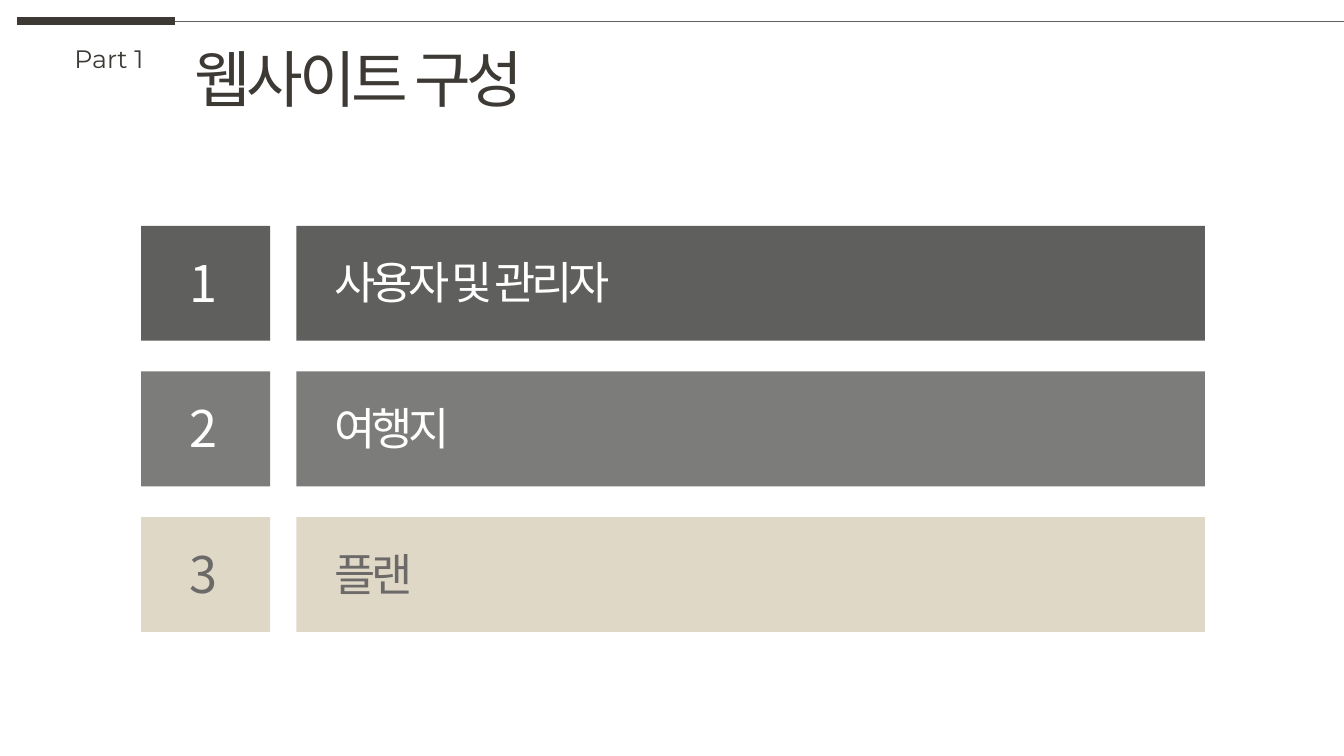
from lxml.etree import SubElement as Sub
from pptx import Presentation
from pptx.dml.color import RGBColor as RGB
from pptx.enum.shapes import MSO_CONNECTOR as Conn, MSO_SHAPE as Shape
from pptx.enum.text import MSO_AUTO_SIZE as Auto, PP_ALIGN as Align
from pptx.oxml.ns import qn
from pptx.util import Inches, Pt

INK = RGB(0x3D, 0x3A, 0x35)
DARK = RGB(0x5F, 0x5F, 0x5D)
GRAY = RGB(0x7C, 0x7C, 0x7A)
SAND = RGB(0xDF, 0xD8, 0xC7)
TAUPE = RGB(0x6C, 0x69, 0x69)
WHITE = RGB(0xFF, 0xFF, 0xFF)
LATIN, KOREAN = "Montserrat", "Noto Sans CJK KR"

WIDE, HIGH = 13.33, 7.5
RULE = 0.21
RULES = [(0.17, 1.74, INK, 6), (1.74, WIDE, DARK, 0.5)]
TITLE = ("웹사이트 구성", (1.83, 0.36, 3.82, 0.84))
PART = ("Part 1", (0.64, 0.38, 0.92, 0.4))
ROWS = [
    ("사용자 및 관리자", 3.26, DARK, WHITE),
    ("여행지", 1.42, GRAY, WHITE),
    ("플랜", 1.02, SAND, TAUPE),
]
TOP, STEP, TALL = 2.24, 1.445, 1.14
COLS = [(1.4, 1.28), (2.94, 9.01)]
NUM = (1.78, 0.21, 0.47, 0.71)
LABEL = (3.22, 0.24, 0.64)


def put_rule(slide, left, right, color, width):
    line = slide.shapes.add_connector(
        Conn.STRAIGHT, Inches(left), Inches(RULE), Inches(right), Inches(RULE))
    line.line.color.rgb = color
    line.line.width = Pt(width)
    Sub(line._element.spPr, qn("a:effectLst"))


def put_block(slide, box, color):
    block = slide.shapes.add_shape(Shape.RECTANGLE, *map(Inches, box))
    block.shadow.inherit = False
    block.fill.solid()
    block.fill.fore_color.rgb = color
    block.line.fill.background()


def put_text(slide, text, box, size, color, face=KOREAN, tight=True, align=Align.LEFT):
    frame = slide.shapes.add_textbox(*map(Inches, box)).text_frame
    frame.word_wrap = False
    frame.auto_size = Auto.SHAPE_TO_FIT_TEXT
    para = frame.paragraphs[0]
    para.alignment = align
    run = para.add_run()
    run.text = text
    for key, value in {"size": Pt(size), "name": face}.items():
        setattr(run.font, key, value)
    run.font.color.rgb = color
    props = run._r.get_or_add_rPr()
    Sub(props, qn("a:ea")).set("typeface", KOREAN)
    if tight:
        props.set("spc", "-300")


def main():
    deck = Presentation()
    deck.slide_width, deck.slide_height = Inches(WIDE), Inches(HIGH)
    slide = deck.slides.add_slide(deck.slide_layouts[6])
    for rule in RULES:
        put_rule(slide, *rule)
    put_text(slide, *TITLE, 44, INK, LATIN)
    put_text(slide, *PART, 18, INK, LATIN, tight=False)
    for i, (text, width, fill, color) in enumerate(ROWS):
        top = TOP + i * STEP
        for left, span in COLS:
            put_block(slide, (left, top, span, TALL), fill)
        left, drop, span, tall = NUM
        put_text(slide, str(i + 1), (left, top + drop, span, tall), 36, color,
                 align=Align.CENTER)
        left, drop, tall = LABEL
        put_text(slide, text, (left, top + drop, width, tall), 32, color)
    deck.save("out.pptx")


if __name__ == "__main__":
    main()
